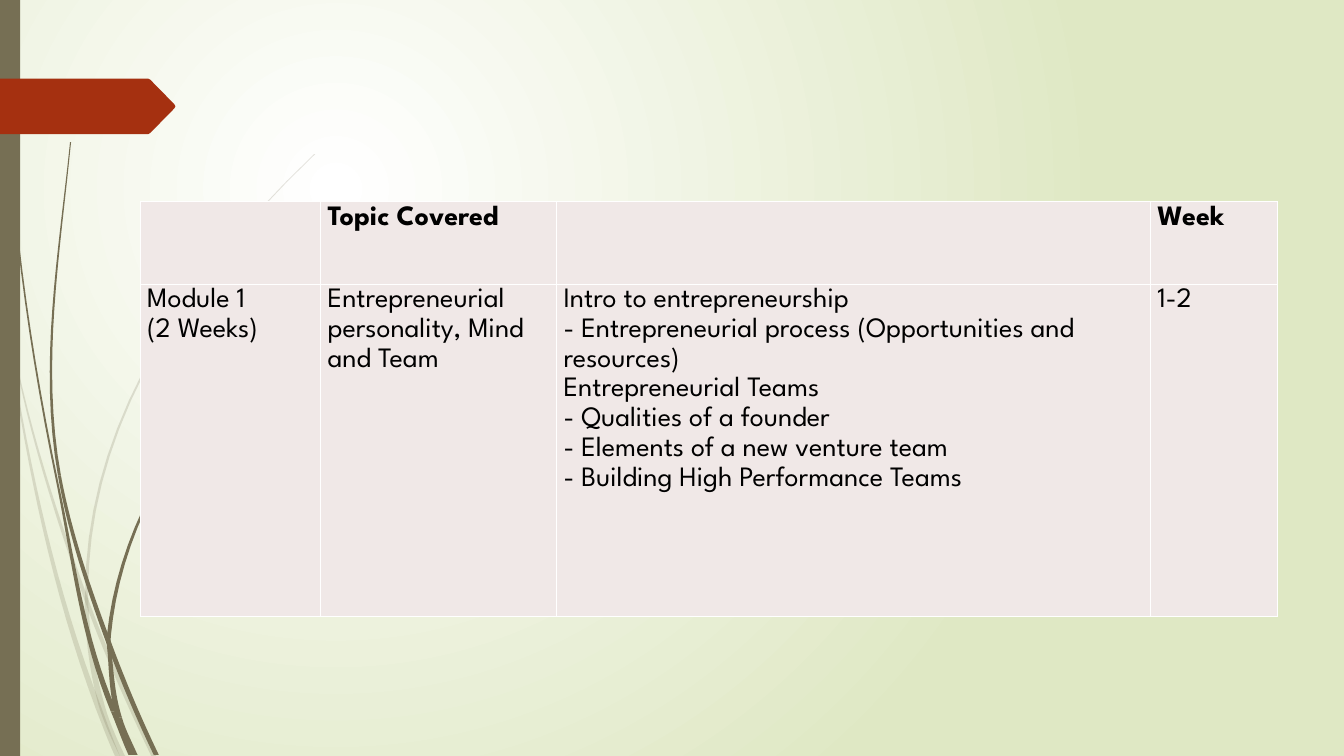
from dataclasses import dataclass

from lxml import etree
from pptx import Presentation
from pptx.dml.color import RGBColor
from pptx.enum.shapes import MSO_SHAPE
from pptx.oxml.ns import qn
from pptx.util import Inches, Pt

RECT = MSO_SHAPE.RECTANGLE


@dataclass(frozen=True)
class Theme:
    glow: str = "FFFFFF"
    field: str = "DFE8C4"
    stem: str = "766F54"
    arrow: str = "A53010"
    cell: str = "F0E8E7"
    rule: str = "FFFFFF"
    ink: str = "000000"
    font: str = "League Spartan"
    size: float = 20
    leading: float = 1.15
    faint: int = 20


THEME = Theme()

# Each blade runs down through knots: x, y, lean (dx per dy), width
PALE = [
    [(0, 2.91, 0.16, 0.03), (0.1, 3.47, 0.16, 0.01), (0.98, 7.03, 0.38, 0.06),
     (1.17, 7.51, 0.45, 0.05)],
    [(0.14, 3.5, 0.2, 0.01), (0.85, 5.93, 0.36, 0.04), (1.53, 7.51, 0.48, 0.05)],
    [(3.12, 1.53, -1.05, 0.01), (0.86, 5.88, 0, 0.03), (0.86, 6.05, 0.05, 0.04),
     (1, 6.97, 0.27, 0.06), (1.22, 7.51, 0.5, 0.05)],
]
DARK = [
    [(0.03, 0, 0.01, 0.01), (0.57, 4.79, 0.21, 0.02), (1.13, 7.06, 0.42, 0.06),
     (1.3, 7.49, 0.45, 0.05)],
    [(0.7, 1.41, -0.1, 0.01), (0.59, 4.72, 0.18, 0.03), (1.08, 6.38, 0.37, 0.05),
     (1.55, 7.49, 0.48, 0.05)],
    [(2.6, 3.44, -1, 0.01), (1.08, 6.31, -0.1, 0.04), (1.09, 6.5, 0.08, 0.04),
     (1.18, 7.12, 0.3, 0.06), (1.34, 7.49, 0.45, 0.05)],
]

COLS = (1.79, 2.34, 5.89, 1.26)
ROWS = (0.82, 3.3)
CELLS = [
    [[], ["Topic Covered"], [], ["Week"]],
    [["Module 1", "(2 Weeks)"],
     ["Entrepreneurial personality, Mind and Team"],
     ["Intro to entrepreneurship",
      "- Entrepreneurial process (Opportunities and resources)",
      "Entrepreneurial Teams",
      "- Qualities of a founder",
      "- Elements of a new venture team",
      "- Building High Performance Teams"],
     ["1-2"]],
]


def paint(shape, tint):
    shape.shadow.inherit = False
    shape.fill.solid()
    shape.fill.fore_color.rgb = RGBColor.from_string(tint)
    shape.line.fill.background()


def outline(shapes, box, dots, tint):
    spots = [(Inches(box[0] + x), Inches(box[1] + y)) for x, y in dots]
    pen = shapes.build_freeform(*spots[0])
    pen.add_line_segments(spots[1:], close=True)
    shape = pen.convert_to_shape()
    paint(shape, tint)
    return shape


def trace(top, end, steps=16):
    """Sweep a tapering width along the smooth curve between two knots."""
    (x0, y0, lean0, w0), (x1, y1, lean1, w1) = top, end
    drop = y1 - y0
    left, right = [], []
    for n in range(steps + 1):
        t = n / steps
        ease = t * t * (3 - 2 * t)
        bend = drop * t * (1 - t) * (lean0 * (1 - t) - lean1 * t)
        x, y = x0 + (x1 - x0) * ease + bend, y0 + drop * t
        half = (w0 + (w1 - w0) * t) / 2
        left.append((max(x - half, 0), y))
        right.append((x + half, y))
    return left + right[::-1]


def add_field(slide):
    fill = slide.background.fill
    fill.gradient()
    for stop, tint, place in zip(fill.gradient_stops, (THEME.glow, THEME.field), (0, 1)):
        stop.color.rgb = RGBColor.from_string(tint)
        stop.position = place
    # Swap the linear direction for a circle centred up and left
    grad = slide.background._cSld.find(".//" + qn("a:gradFill"))
    grad.remove(grad.find(qn("a:lin")))
    ring = etree.SubElement(grad, qn("a:path"), {"path": "circle"})
    etree.SubElement(ring, qn("a:fillToRect"), l="50000", t="50000", r="100000", b="100000")


def add_blades(slide, box, blades, alpha=100):
    group = slide.shapes.add_group_shape()
    for knots in blades:
        for top, end in zip(knots, knots[1:]):
            shape = outline(group.shapes, box, trace(top, end), THEME.stem)
            if alpha < 100:
                tint = shape._element.spPr.find(".//" + qn("a:srgbClr"))
                etree.SubElement(tint, qn("a:alpha"), val=str(alpha * 1000))


def add_band(slide, box):
    paint(slide.shapes.add_shape(RECT, *map(Inches, box)), THEME.stem)


def add_arrow(slide, box):
    wide, high = box[2:]
    neck = wide - 0.27
    upper = [(0, 0), (neck, 0), (neck + 0.02, 0.01), (wide - 0.01, high / 2 - 0.02)]
    lower = [(x, high - y) for x, y in reversed(upper)]
    outline(slide.shapes, box, upper + [(wide, high / 2)] + lower, THEME.arrow)


def edge(cell):
    props = cell._tc.get_or_add_tcPr()
    for n, side in enumerate(("lnL", "lnR", "lnT", "lnB")):
        line = etree.Element(qn("a:" + side), w=str(Pt(1)))
        solid = etree.SubElement(line, qn("a:solidFill"))
        etree.SubElement(solid, qn("a:srgbClr"), val=THEME.rule)
        props.insert(n, line)


def fill_cell(cell, lines, bold):
    cell.fill.solid()
    cell.fill.fore_color.rgb = RGBColor.from_string(THEME.cell)
    cell.margin_left = cell.margin_right = Inches(0.07)
    cell.margin_top = cell.margin_bottom = 0
    edge(cell)
    frame = cell.text_frame
    for n, line in enumerate(lines):
        para = frame.add_paragraph() if n else frame.paragraphs[0]
        para.line_spacing = THEME.leading
        run = para.add_run()
        run.text = line
        run.font.name, run.font.size, run.font.bold = THEME.font, Pt(THEME.size), bold
        run.font.color.rgb = RGBColor.from_string(THEME.ink)


def add_plan(slide, box):
    table = slide.shapes.add_table(len(ROWS), len(COLS), *map(Inches, box)).table
    for col, width in zip(table.columns, COLS):
        col.width = Inches(width)
    for r, (row, height) in enumerate(zip(table.rows, ROWS)):
        row.height = Inches(height)
        for c, lines in enumerate(CELLS[r]):
            fill_cell(table.cell(r, c), lines, r == 0)


def main():
    deck = Presentation()
    deck.slide_width, deck.slide_height = Inches(13.33), Inches(7.5)
    slide = deck.slides.add_slide(deck.slide_layouts[6])
    # Backdrop
    add_field(slide)
    add_blades(slide, (0, 0), PALE, THEME.faint)
    add_blades(slide, (0, 0), DARK)
    add_band(slide, (0, 0, 0.2, 7.5))
    add_arrow(slide, (0, 0.78, 1.74, 0.55))
    # Course plan
    add_plan(slide, (1.39, 2, sum(COLS), sum(ROWS)))
    deck.save("out.pptx")


if __name__ == "__main__":
    main()
